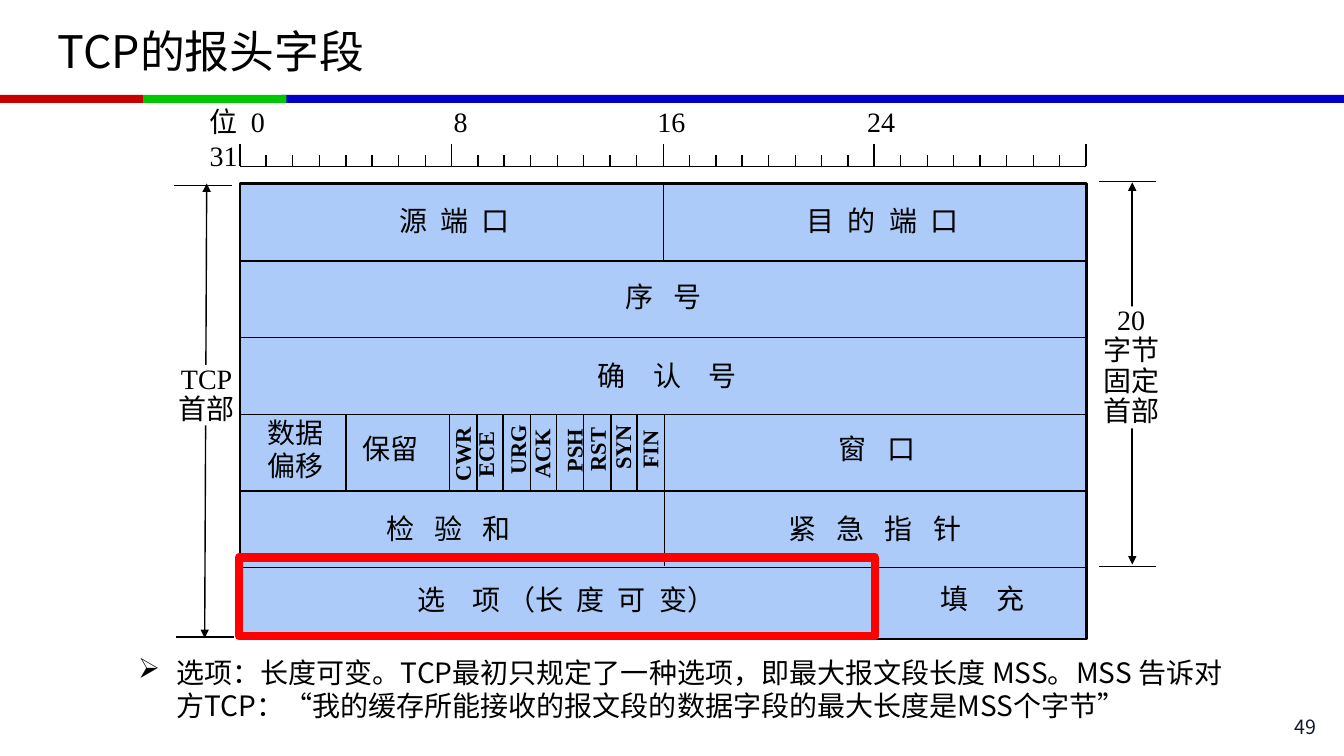
from lxml import etree
from pptx import Presentation
from pptx.dml.color import RGBColor
from pptx.enum.shapes import MSO_CONNECTOR, MSO_SHAPE
from pptx.enum.text import MSO_ANCHOR, PP_ALIGN
from pptx.oxml.ns import qn
from pptx.util import Pt

PX = 9144
RECTANGLE = MSO_SHAPE.RECTANGLE
STRAIGHT = MSO_CONNECTOR.STRAIGHT
LEFT, CENTER, RIGHT = PP_ALIGN.LEFT, PP_ALIGN.CENTER, PP_ALIGN.RIGHT
TOP, MIDDLE = MSO_ANCHOR.TOP, MSO_ANCHOR.MIDDLE
SANS, SERIF = "Noto Sans CJK SC", "Times New Roman"
BLACK, WHITE, PALE_BLUE, RED = "000000", "FFFFFF", "ACCBF9", "FF0000"


def color(value):
    return RGBColor.from_string(value)


class Board:
    def __init__(self, page):
        self.page = page

    def rectangle(self, x, y, width, height, fill=None, line=None, weight=1):
        box = self.page.shapes.add_shape(
            RECTANGLE, x * PX, y * PX, width * PX, height * PX)
        box.shadow.inherit = False
        if fill:
            box.fill.solid()
            box.fill.fore_color.rgb = color(fill)
        else:
            box.fill.background()
        if line:
            box.line.color.rgb = color(line)
            box.line.width = Pt(weight)
        else:
            box.line.fill.background()
        return box

    def line(self, x1, y1, x2, y2, weight=1, arrows=False):
        connector = self.page.shapes.add_connector(
            STRAIGHT, x1 * PX, y1 * PX, x2 * PX, y2 * PX)
        connector.line.color.rgb = color(BLACK)
        connector.line.width = Pt(weight)
        if arrows:
            stroke = connector.line._get_or_add_ln()
            for end in ("a:headEnd", "a:tailEnd"):
                etree.SubElement(stroke, qn(end)).set("type", "triangle")
        etree.SubElement(connector._element.spPr, qn("a:effectLst"))
        return connector

    def text(self, x, y, width, height, lines, size=20, font=SERIF, ink=BLACK,
             align=LEFT, anchor=TOP, spacing=1, bold=False, fill=None,
             turn=0, tabs=(), bullet=None, indent=0):
        box = self.page.shapes.add_textbox(x * PX, y * PX, width * PX, height * PX)
        box.rotation = turn
        if fill:
            box.fill.solid()
            box.fill.fore_color.rgb = color(fill)
        frame = box.text_frame
        frame.word_wrap = True
        frame.vertical_anchor = anchor
        frame.margin_left = frame.margin_right = 0
        frame.margin_top = frame.margin_bottom = 0
        for index, spans in enumerate(lines):
            para = frame.add_paragraph() if index else frame.paragraphs[0]
            para.alignment = align
            para.line_spacing = spacing
            properties = para._p.get_or_add_pPr()
            if bullet:
                properties.set("marL", str(indent * PX))
                properties.set("indent", str(-indent * PX))
                etree.SubElement(properties, qn("a:buChar")).set("char", bullet)
            if tabs:
                stops = etree.SubElement(properties, qn("a:tabLst"))
                for position in tabs:
                    stop = etree.SubElement(stops, qn("a:tab"))
                    stop.set("pos", str(position * PX))
                    stop.set("algn", "l")
            para.font.size = Pt(size)
            para.font.bold = bold
            para.font.color.rgb = color(ink)
            para.font.name = font
            defaults = properties.find(qn("a:defRPr"))
            etree.SubElement(defaults, qn("a:ea")).set("typeface", SANS)
            for wording, tracking in [(spans, 0)] if isinstance(spans, str) else spans:
                span = para.add_run()
                span.text = wording
                if tracking:
                    span._r.get_or_add_rPr().set("spc", str(tracking))
        return box


def draw_title(board):
    for x, width, fill in ((279, 1054, "0000C8"), (0, 142, "C80000"), (142, 142, "00C800")):
        board.rectangle(x, 94, width, 8, fill)
    board.text(57, 8, 1219, 84, ["TCP的报头字段"], 32, SANS, anchor=MIDDLE)


def draw_ruler(board):
    board.line(238, 165, 1077, 165)
    for bit in range(33):
        x = 238 + round(bit * 839 / 32)
        board.line(x, 154 if bit % 8 else 143, x, 165)
    board.text(208, 104, 884, 66, ["位\t0\t8\t16\t24", "31"], tabs=(41, 242, 444, 652))


def draw_dimensions(board):
    board.line(205, 182, 203, 633, arrows=True)
    board.text(167, 362, 76, 60, ["TCP", "首部"], align=CENTER, spacing=0.9, fill=WHITE)
    board.line(1123, 181, 1123, 560, 1.5, arrows=True)
    board.text(1084, 304, 76, 121, ["20", "字节", "固定", "首部"],
               align=CENTER, spacing=0.9, fill=WHITE)
    for x, y in ((1090, 180), (1090, 562), (173, 184), (175, 632)):
        board.line(x, y, x + 57, y)


def draw_header(board):
    header = board.rectangle(238, 182, 840, 452, PALE_BLUE, BLACK, 2)
    for row in range(5):
        y = 259 + row * 76
        board.line(238, y, 1078, y)
    board.line(658, 182, 658, 260).begin_connect(header, 0)
    board.line(659, 411, 659, 562)
    board.line(867, 563, 867, 634)
    board.line(343, 411, 343, 487)
    for flag in range(8):
        x = 446 + round(flag * 213 / 8)
        board.line(x, 411, x, 487)

    fields = (
        (396, 202, "源 端 口", 250), (800, 202, "目 的 端 口", 250),
        (620, 277, "序 号", 500), (593, 356, "确 认 号", 750),
        (360, 428, "保留", 0), (832, 428, "窗 口", 500),
        (383, 507, "检 验 和", 500), (782, 507, "紧 急 指 针", 500),
        (933, 577, "填 充", 750),
    )
    for x, y, wording, tracking in fields:
        board.text(x, y, 30 + 36 * len(wording.split()) + 20, 33, [[(wording, tracking)]])
    board.text(265, 412, 66, 67, ["数据", "偏移"])
    board.text(414, 578, 340, 33,
               [[("选 ", 750), ("项 （", 0), ("长 度 可 ", 250), ("变）", 0)]])

    flags = (("CWR", 461, 451), ("ECE", 484, 451), ("URG", 516, 446), ("ACK", 540, 450),
             ("PSH", 572, 447), ("RST", 595, 446), ("SYN", 620, 444), ("FIN", 647, 446))
    for name, x, y in flags:
        board.text(x - 40, y - 10, 80, 20, [name], 16, align=CENTER,
                   spacing=0.75, bold=True, turn=270)
    board.rectangle(237, 553, 631, 78, line=RED, weight=6)


def draw_note(board):
    board.text(137, 650, 1082, 67, [
        "选项：长度可变。TCP最初只规定了一种选项，即最大报文段长度 MSS。MSS 告诉对方TCP："
        "“我的缓存所能接收的报文段的数据字段的最大长度是MSS个字节”"],
        font=SANS, bullet="➢", indent=38)
    board.text(1186, 709, 120, 28, ["49"], 14, SANS, "12192B", RIGHT)


def main():
    deck = Presentation()
    deck.slide_width, deck.slide_height = 1333 * PX, 750 * PX
    board = Board(deck.slides.add_slide(deck.slide_layouts[6]))
    draw_title(board)
    draw_dimensions(board)
    draw_header(board)
    draw_ruler(board)
    draw_note(board)
    deck.save("out.pptx")


if __name__ == "__main__":
    main()
